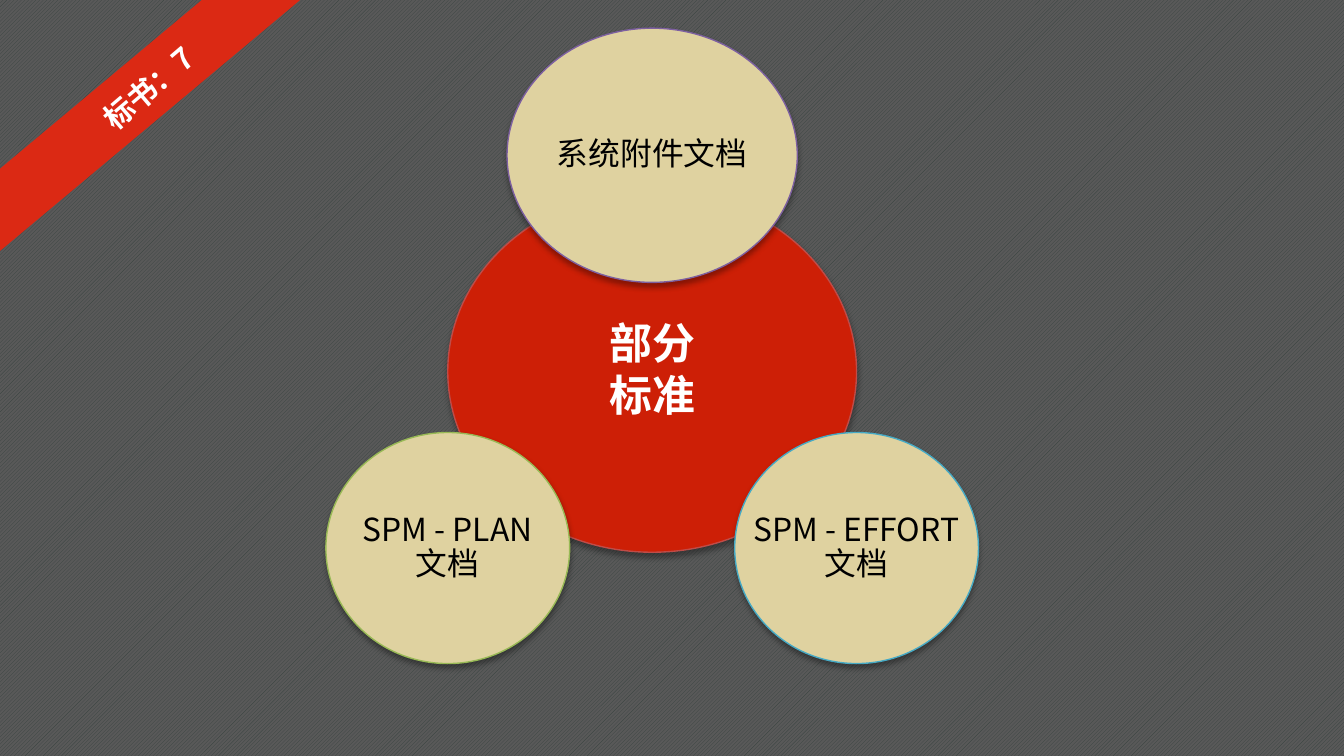
from lxml.etree import SubElement
from pptx import Presentation
from pptx.dml.color import RGBColor
from pptx.enum.dml import MSO_PATTERN as Pattern
from pptx.enum.shapes import MSO_SHAPE as Shape
from pptx.enum.text import MSO_ANCHOR as Anchor, PP_ALIGN as Align
from pptx.oxml.ns import qn
from pptx.util import Pt

COLORS = {
    "stripe": "384340", "slate": "595959", "ribbon": "DB2914",
    "red": "CD1F06", "red_edge": "BF4C48", "sand": "DFD2A0",
    "purple": "7D60A0", "blue": "46AAC5", "green": "98B955",
    "white": "FFFFFF", "black": "000000",
}
FONT = "Noto Sans CJK SC"
RIBBON_LABEL = "标书：7"
HUB_LINES = ["部分", "标准"]
HUB_CENTER, HUB_SIZE = (349.4, 199), (219, 193.7)
SATELLITES = [
    ("系统附件文档", "purple", (0, -115.8), (155.5, 136.2)),
    ("SPM - EFFORT\v文档", "blue", (HUB_SIZE[0] / 2, 94.6), (130.6, 123.8)),
    ("SPM - PLAN\v文档", "green", (-HUB_SIZE[0] / 2, 94.6), (130.6, 123.8)),
]


def color(name):
    """Return the named palette colour."""
    return RGBColor.from_string(COLORS[name])


def write(shape, lines, size, ink, bold=False, spacing=1, after=0, wrap=False):
    """Fill a shape with centred paragraphs."""
    frame = shape.text_frame
    frame.word_wrap = wrap
    frame.vertical_anchor = Anchor.MIDDLE
    frame.text = "\n".join(lines)
    for para in frame.paragraphs:
        para.alignment = Align.CENTER
        para.line_spacing = spacing
        para.space_after = Pt(after)
        for span in para.runs:
            font = span.font
            font.name, font.size, font.bold = FONT, Pt(size), bold
            font.color.rgb = color(ink)
            SubElement(font._element, qn("a:ea"), typeface=FONT)


def add_circle(slide, center, size, fill, edge):
    """Add an outlined ellipse with a soft shadow around a centre point."""
    corner = [c - s / 2 for c, s in zip(center, size)]
    circle = slide.shapes.add_shape(Shape.OVAL, *map(Pt, (*corner, *size)))
    circle.fill.solid()
    circle.fill.fore_color.rgb = color(fill)
    circle.line.color.rgb = color(edge)
    circle.line.width = Pt(0.75)
    circle.shadow.inherit = False
    effects = circle._element.spPr.find(qn("a:effectLst"))
    shadow = SubElement(effects, qn("a:outerShdw"), blurRad=str(Pt(3.1)),
                        dist=str(Pt(1.8)), dir="5400000", rotWithShape="0")
    tint = SubElement(shadow, qn("a:srgbClr"), val=COLORS["black"])
    SubElement(tint, qn("a:alpha"), val="35000")
    return circle


def add_ribbon(slide):
    """Add the diagonal corner ribbon and its label."""
    ribbon = slide.shapes.add_shape(
        Shape.RECTANGLE, Pt(-150.5), Pt(58.3), Pt(390.2), Pt(33.8))
    ribbon.rotation = 320.1
    ribbon.fill.solid()
    ribbon.fill.fore_color.rgb = color("ribbon")
    ribbon.line.fill.background()
    ribbon.shadow.inherit = False
    label = slide.shapes.add_textbox(Pt(-12.2), Pt(33.8), Pt(183.6), Pt(26.6))
    label.rotation = 319.5
    write(label, [RIBBON_LABEL], 16, "white", bold=True, wrap=True)


def main():
    """Build the slide and save it."""
    deck = Presentation()
    deck.slide_width, deck.slide_height = Pt(720), Pt(405)
    page = deck.slides.add_slide(deck.slide_layouts[6])
    backdrop = page.background.fill
    backdrop.patterned()
    backdrop.pattern = Pattern.DARK_UPWARD_DIAGONAL
    backdrop.fore_color.rgb = color("stripe")
    backdrop.back_color.rgb = color("slate")

    add_ribbon(page)
    hub = add_circle(page, HUB_CENTER, HUB_SIZE, "red", "red_edge")
    write(hub, HUB_LINES, 23, "white", bold=True, spacing=0.9, after=3)
    for text, edge, offset, size in SATELLITES:
        center = [h + o for h, o in zip(HUB_CENTER, offset)]
        circle = add_circle(page, center, size, "sand", edge)
        write(circle, [text], 17, "black", spacing=0.9, after=3)

    deck.save("out.pptx")


if __name__ == "__main__":
    main()
